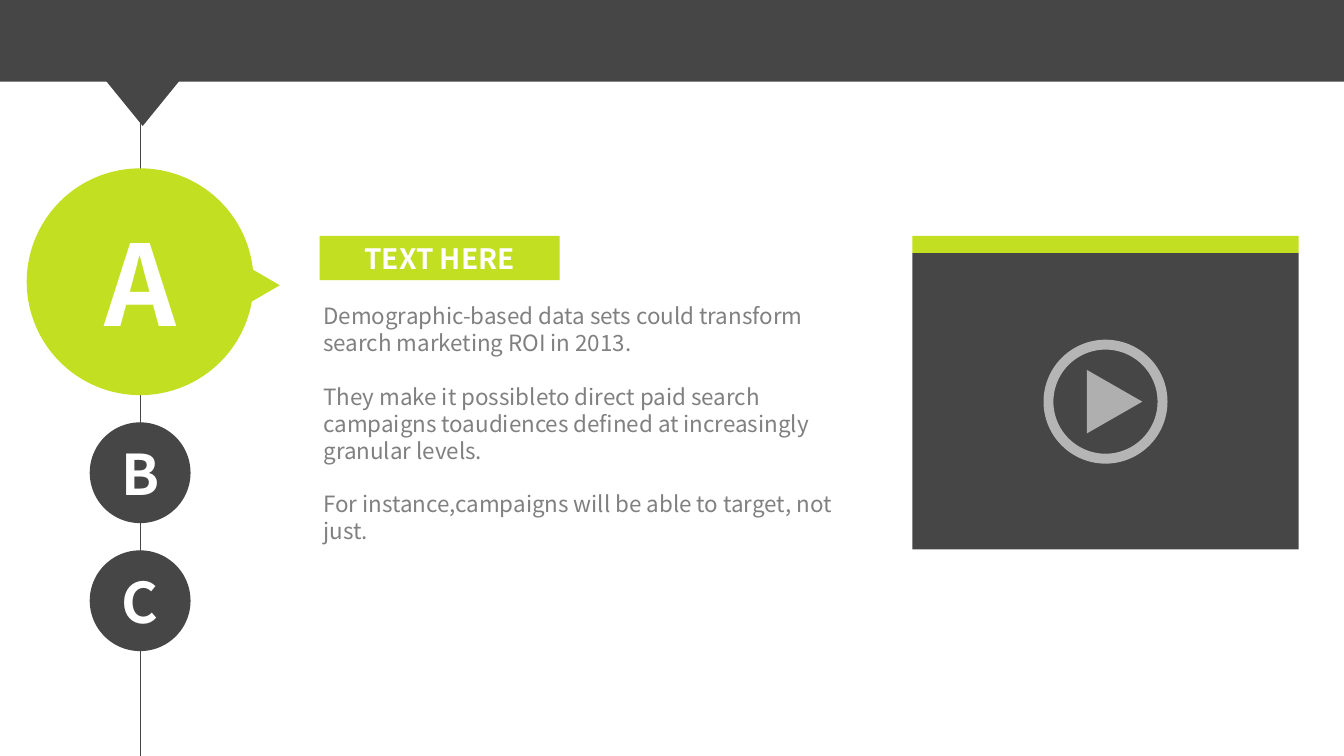
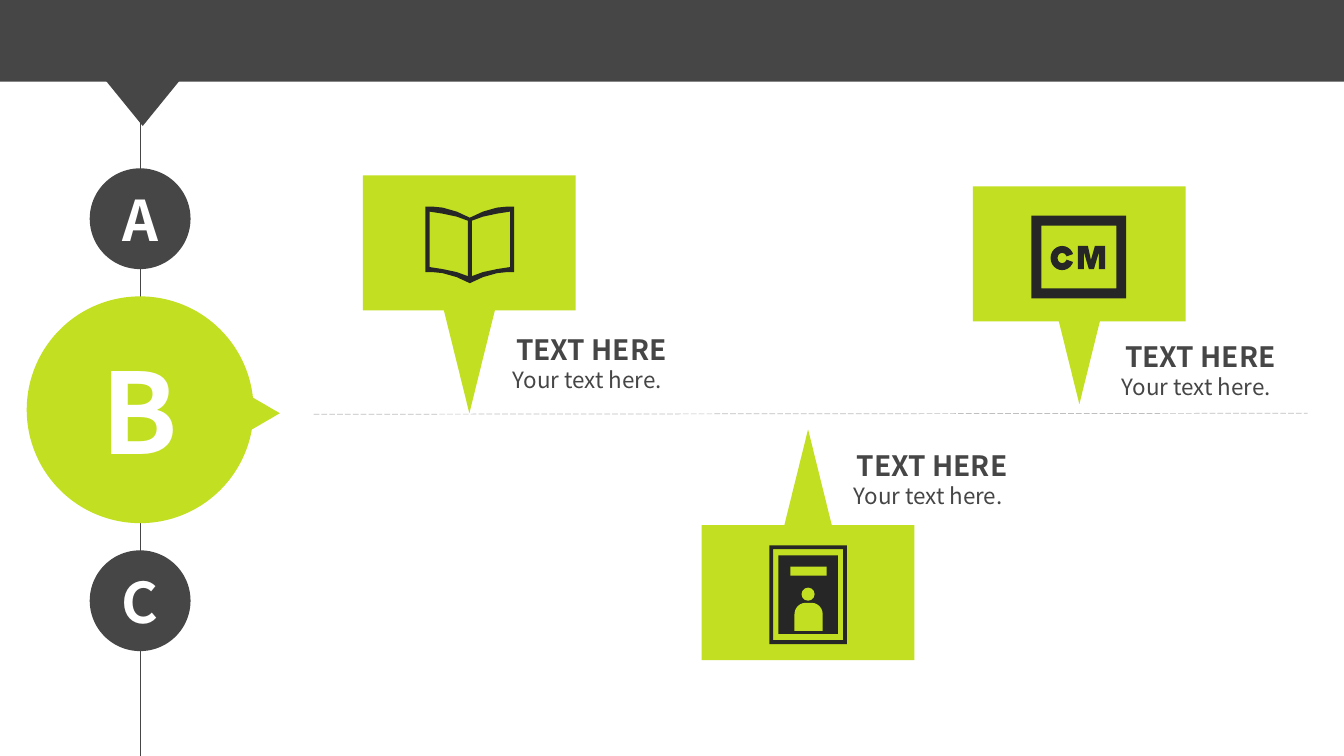
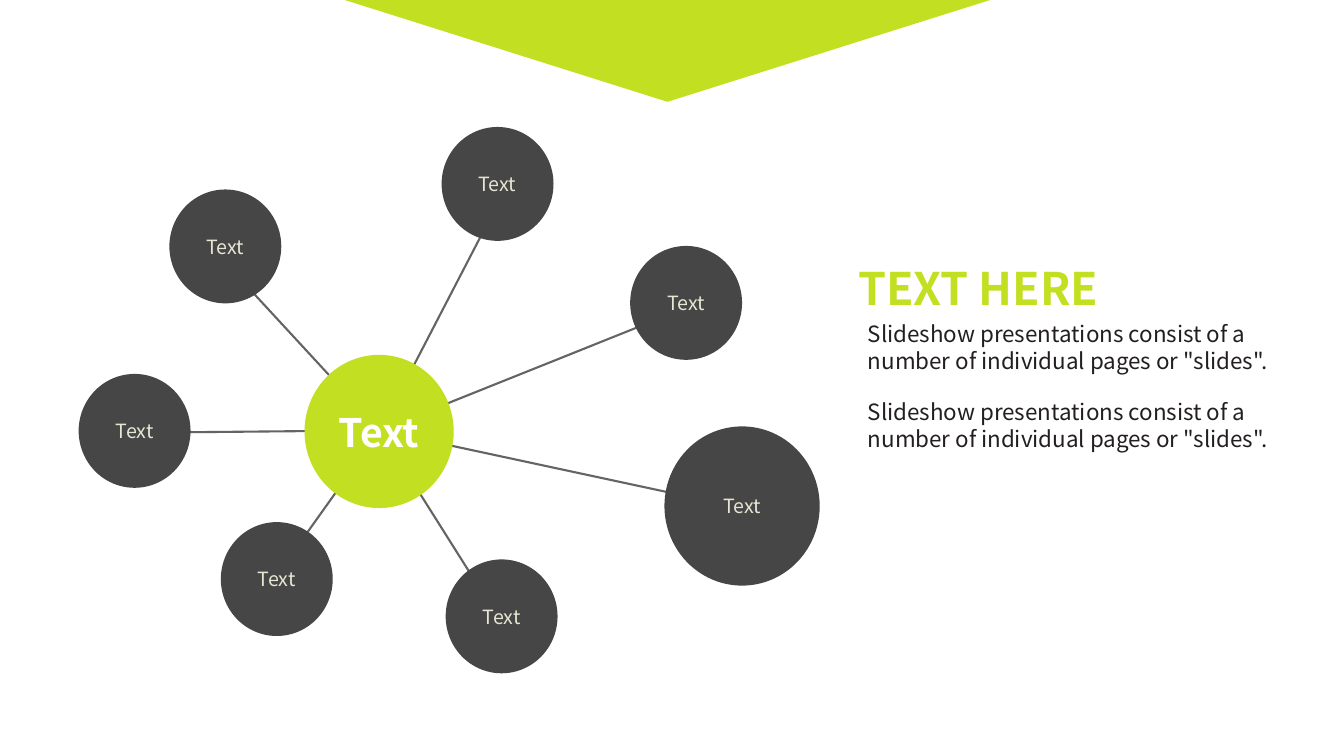
from dataclasses import dataclass
from lxml.etree import SubElement
from pptx import Presentation
from pptx.dml.color import RGBColor
from pptx.enum.dml import MSO_LINE as Dash
from pptx.enum.shapes import MSO_CONNECTOR as Wire, MSO_SHAPE as Form
from pptx.enum.text import MSO_ANCHOR as Anchor, MSO_AUTO_SIZE as Fit, PP_ALIGN as Align
from pptx.oxml.ns import qn
from pptx.util import Inches, Pt


@dataclass(frozen=True)
class Theme:
    font: str = "Noto Sans CJK SC"
    lime: str = "C3DF21"
    dark: str = "464646"
    ink: str = "262626"
    body: str = "231F20"
    gray: str = "808080"
    spoke: str = "646464"
    dash: str = "BFBFBF"
    cream: str = "E7E6D4"
    white: str = "FFFFFF"
    small: int = 14
    text: int = 16
    head: int = 20
    hub: int = 28
    title: int = 32
    mark: int = 40
    big: int = 80


T = Theme()


def write(shape, text, size=T.text, color=T.white, bold=False,
          align=Align.CENTER, anchor=Anchor.MIDDLE, gap=0, wrap=True):
    frame = shape.text_frame
    frame.text = text
    frame.auto_size = Fit.NONE
    frame.word_wrap = wrap
    frame.vertical_anchor = anchor
    for i, para in enumerate(frame.paragraphs):
        para.alignment = align
        para.space_before = Pt(gap if i else 0)
        para.font.name = T.font
        para.font.size = Pt(size)
        para.font.bold = bold
        para.font.color.rgb = RGBColor.from_string(color)


def draw(page, form, box, fill, turn=0, alpha=100):
    if form:
        shape = page.shapes.add_shape(form, *map(Inches, box))
    else:
        loops = [[(Inches(x), Inches(y)) for x, y in loop] for loop in box]
        pen = page.shapes.build_freeform(*loops[0][0], scale=1.0)
        for loop in loops:
            pen.move_to(*loop[0])
            pen.add_line_segments(loop[1:], close=True)
        shape = pen.convert_to_shape()
    shape.shadow.inherit = False
    shape.rotation = turn
    shape.line.fill.background()
    shape.fill.solid()
    shape.fill.fore_color.rgb = RGBColor.from_string(fill)
    if alpha < 100:
        tint = shape._element.spPr.find(".//" + qn("a:srgbClr"))
        SubElement(tint, qn("a:alpha"), val=str(alpha * 1000))
    return shape


deck = Presentation()
deck.slide_width, deck.slide_height = Inches(13.33), Inches(7.5)
titled, blank = deck.slide_layouts[5], deck.slide_layouts[6]
video, cards, web = [deck.slides.add_slide(kind) for kind in (titled, blank, titled)]

axis = 1.39
center = (3.77, 4.27)
orbs = [
    (4.38, 1.26, 1.11, 1.13, (4.9, 2.09)),
    (6.25, 2.44, 1.11, 1.13, (7.09, 2.94)),
    (6.59, 4.23, 1.54, 1.58, (7.26, 5.02)),
    (0.78, 3.71, 1.11, 1.13, (1.68, 4.29)),
    (4.42, 5.55, 1.11, 1.13, (4.81, 5.92)),
    (2.19, 5.18, 1.11, 1.13, (2.75, 5.7)),
    (1.68, 1.88, 1.11, 1.13, (2.46, 2.85)),
]

spine = ((axis, 0), (axis, 7.5), T.dark, 0.5, Dash.SOLID)
track = ((3.11, 4.11), (12.97, 4.1), T.dash, 0.5, Dash.LONG_DASH)
spokes = [(center, orb[4], T.spoke, 1.5, Dash.SOLID) for orb in orbs]
for page, wires in ((video, [spine]), (cards, [spine, track]), (web, spokes)):
    for start, end, color, width, dash in wires:
        wire = page.shapes.add_connector(Wire.STRAIGHT, *map(Inches, start + end))
        wire.line.color.rgb = RGBColor.from_string(color)
        wire.line.width = Pt(width)
        wire.line.dash_style = dash
        SubElement(wire._element.spPr, qn("a:effectLst"))

for page, live in ((video, "A"), (cards, "B")):
    draw(page, Form.ISOSCELES_TRIANGLE, (0.74, 0.42, 1.35, 0.83), T.dark, turn=180)
    draw(page, Form.RECTANGLE, (0, 0, 13.33, 0.81), T.dark)
    top = 1.67
    for mark in "ABC":
        size, fill, points = (2.25, T.lime, T.big) if mark == live else (1, T.dark, T.mark)
        if mark == live:
            draw(page, Form.ISOSCELES_TRIANGLE, (1.65, top + 0.64, 1.21, 1.04), fill, turn=90)
        disc = draw(page, Form.OVAL, (axis - size / 2, top, size, size), fill)
        write(disc, mark, size=points, bold=True)
        top += size + 0.27

for page, box, size, color, align in (
    (video, (3.17, 2.34, 2.38, 0.44), T.head, T.white, Align.CENTER),
    (web, (8.41, 2.53, 2.68, 0.64), T.title, T.lime, Align.LEFT),
):
    title = page.shapes.title
    title.left, title.top, title.width, title.height = map(Inches, box)
    write(title, "TEXT HERE", size=size, color=color, bold=True, align=align, wrap=False)
video.shapes.title.fill.solid()
video.shapes.title.fill.fore_color.rgb = RGBColor.from_string(T.lime)

story = "\n".join([
    "Demographic-based data sets could transform search marketing ROI in 2013.",
    "They make it possibleto direct paid search campaigns toaudiences defined at increasingly granular levels.",
    "For instance,campaigns will be able to target, not just.",
])
note = video.shapes.add_textbox(*map(Inches, (3.11, 2.95, 5.44, 2.79)))
write(note, story, color=T.gray, align=Align.LEFT, anchor=Anchor.TOP, gap=19.2)

draw(video, Form.RECTANGLE, (9.05, 2.51, 3.83, 2.94), T.dark)
draw(video, Form.RECTANGLE, (9.05, 2.34, 3.83, 0.17), T.lime)
ring = draw(video, Form.DONUT, (10.35, 3.37, 1.23, 1.23), T.white, alpha=60)
ring.adjustments[0] = 0.08
draw(video, Form.ISOSCELES_TRIANGLE, (10.74, 3.71, 0.63, 0.55), T.white, turn=90, alpha=57)

for left, top, tip, turn, x, y in (
    (3.6, 1.74, 3.03, 180, 4.93, 3.25),
    (6.96, 5.21, 4.26, 0, 8.31, 4.4),
    (9.65, 1.85, 2.94, 180, 10.97, 3.32),
):
    draw(cards, Form.RECTANGLE, (left, top, 2.11, 1.34), T.lime)
    draw(cards, Form.ISOSCELES_TRIANGLE, (left + 0.79, tip, 0.53, 1.07), T.lime, turn=turn)
    for text, down, wide, high, size, bold in (
        ("TEXT HERE", 0, 1.87, 0.44, T.head, True),
        ("Your text here.", 0.33, 1.79, 0.37, T.text, False),
    ):
        label = cards.shapes.add_textbox(*map(Inches, (x, y + down, wide, high)))
        write(label, text, size=size, color=T.dark, bold=bold, anchor=Anchor.TOP, wrap=False)

fold = 4.66
rim = [(0.44, 0), (0.37, 0), (0.27, 0.01), (0.13, 0.05), (0, 0.11)]
leaf = [(0.4, 0), (0.27, 0.02), (0.13, 0.05), (0.02, 0.09)]
cover = [(-x, y) for x, y in rim] + rim[-2::-1]
book = []
for edge, top, low in (
    (cover, 2.05, 2.7),
    (leaf, 2.1, 2.65),
    ([(-x, y) for x, y in leaf], 2.1, 2.65),
):
    book.append([(fold + x, top + y) for x, y in edge]
                + [(fold + x, low + y) for x, y in reversed(edge)])
draw(cards, None, book, T.ink)

for box, rate in (((7.63, 5.41, 0.77, 0.98), 0.05), ((10.23, 2.14, 0.94, 0.82), 0.12)):
    draw(cards, Form.FRAME, box, T.ink).adjustments[0] = rate
draw(cards, Form.RECTANGLE, (7.72, 5.51, 0.59, 0.78), T.ink)
draw(cards, Form.RECTANGLE, (7.84, 5.62, 0.36, 0.09), T.lime)
draw(cards, Form.OVAL, (7.95, 5.83, 0.13, 0.13), T.lime)
torso = draw(cards, Form.ROUND_2_SAME_RECTANGLE, (7.88, 5.98, 0.28, 0.28), T.lime)
torso.adjustments[0] = 0.4

arc = draw(cards, Form.BLOCK_ARC, (10.42, 2.44, 0.23, 0.24), T.ink)
for i, value in enumerate((12, 204, 0.3)):
    arc.adjustments[i] = value
stem = [
    (10.75, 2.5), (10.8, 2.67), (10.85, 2.67), (10.9, 2.5), (10.9, 2.67),
    (10.96, 2.67), (10.96, 2.44), (10.86, 2.44), (10.82, 2.58), (10.79, 2.44),
    (10.69, 2.44), (10.69, 2.67), (10.75, 2.67),
]
draw(cards, None, [stem], T.ink)

draw(web, Form.ISOSCELES_TRIANGLE, (3.42, 0, 6.4, 1.01), T.lime, turn=180)
for *box, tip in orbs:
    orb = draw(web, Form.OVAL, box, T.dark)
    write(orb, "Text", size=T.small, color=T.cream, wrap=False)
hub = draw(web, Form.OVAL, (3.02, 3.52, 1.48, 1.52), T.lime)
write(hub, "Text", size=T.hub, bold=True, wrap=False)

fact = 'Slideshow presentations consist of a number of individual pages or "slides".'
for top in (3.13, 3.9):
    note = web.shapes.add_textbox(*map(Inches, (8.51, top, 4.65, 0.64)))
    write(note, fact, color=T.body, align=Align.LEFT, anchor=Anchor.TOP)

deck.save("out.pptx")
